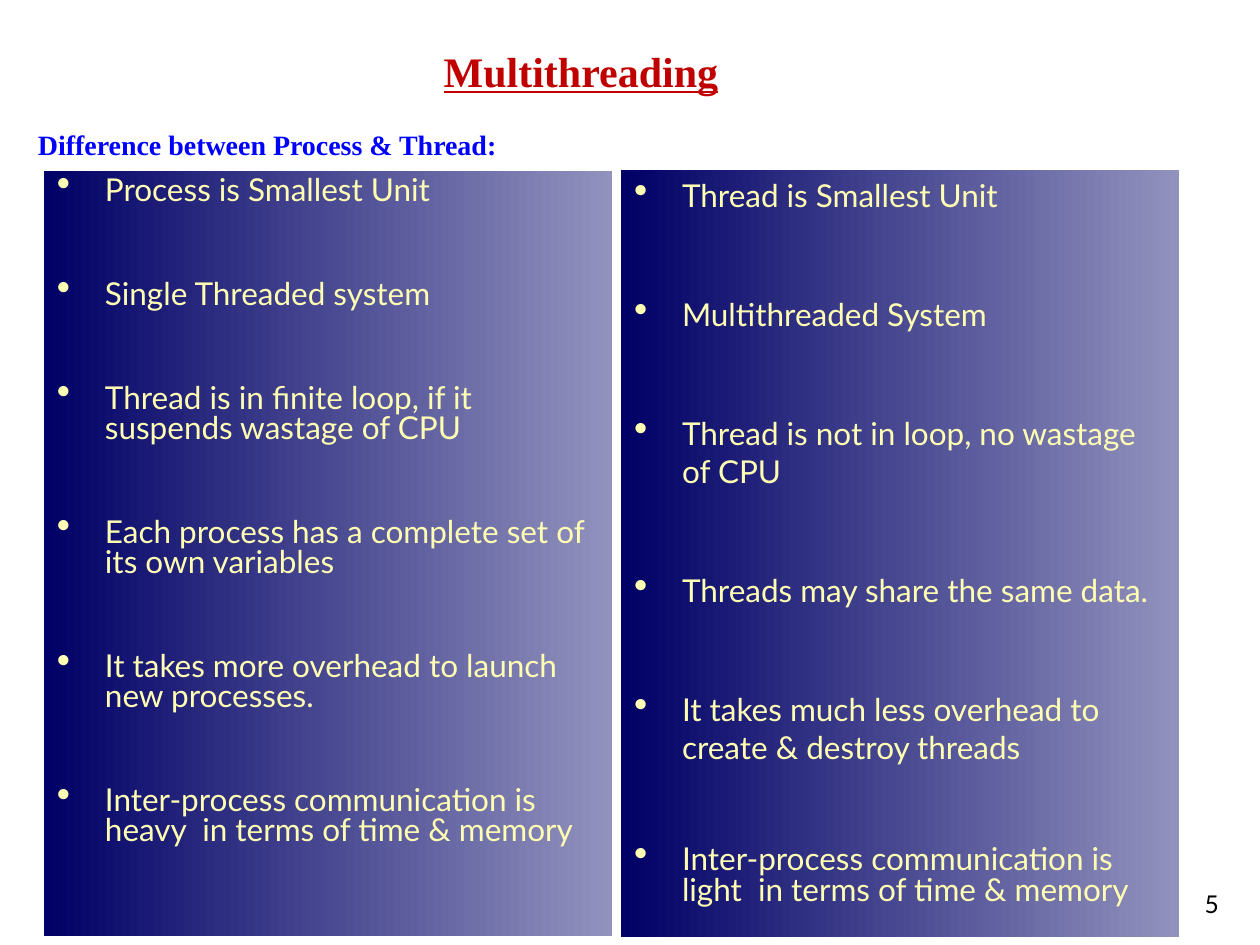
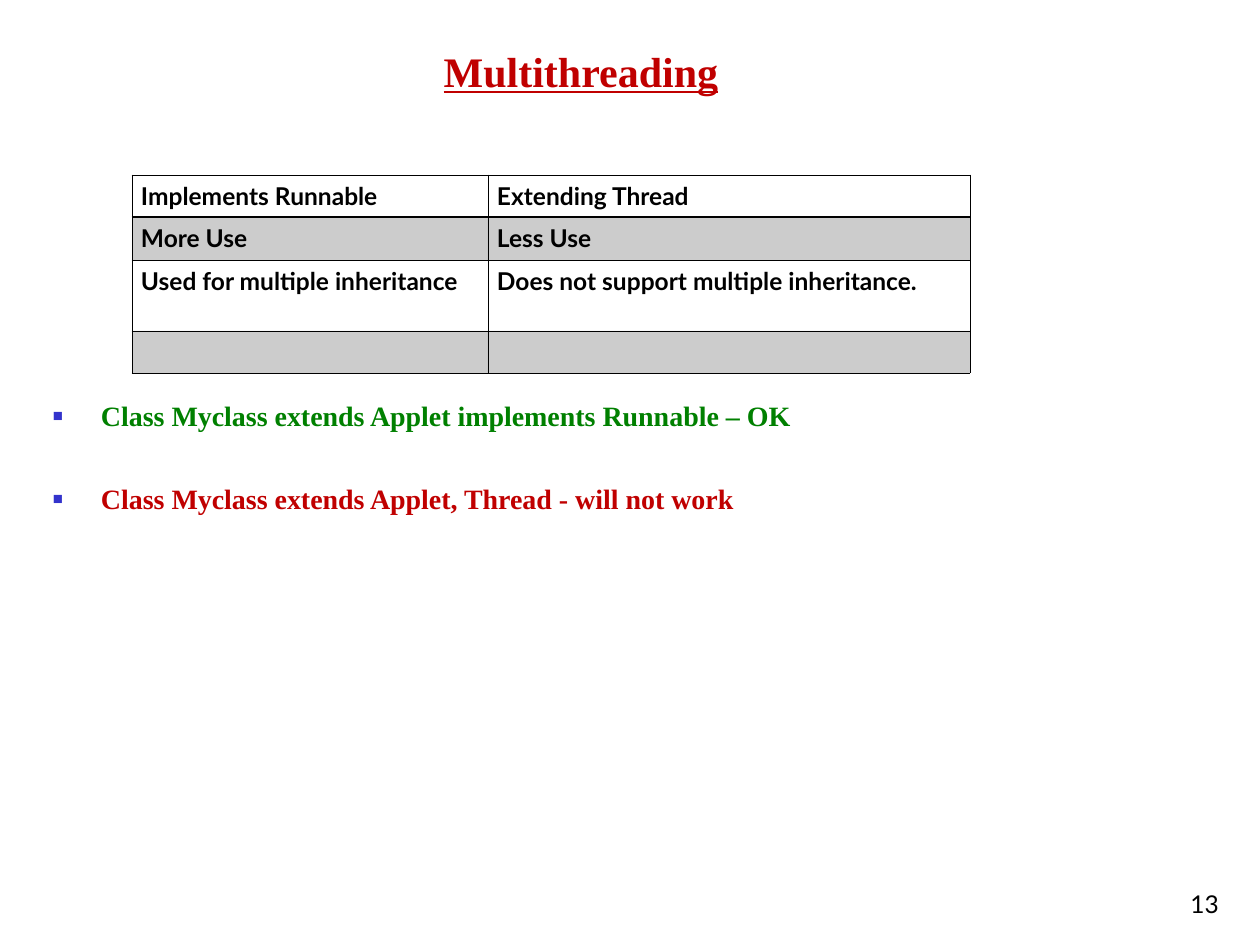
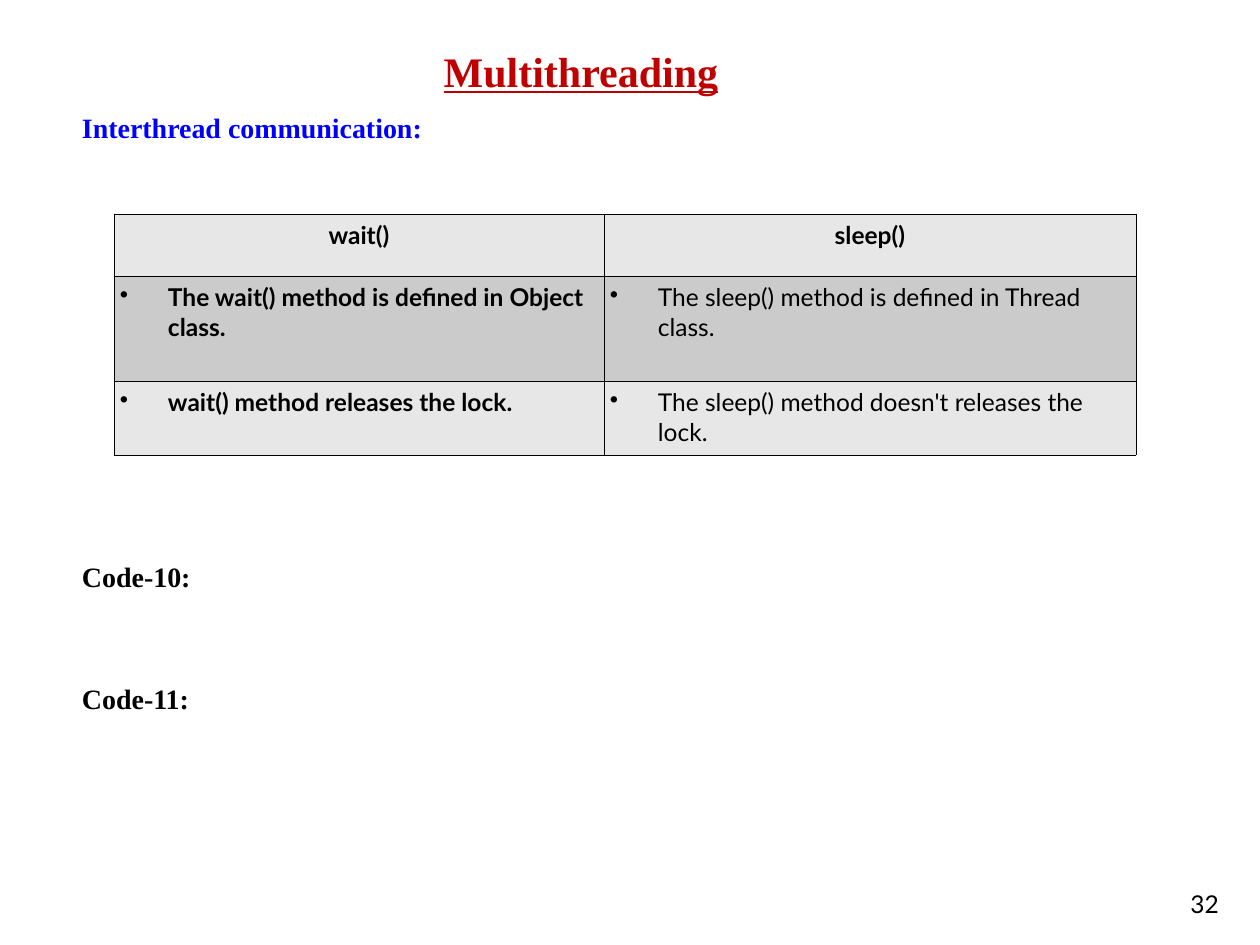
from dataclasses import dataclass, replace

from lxml import etree
from pptx import Presentation
from pptx.dml.color import RGBColor
from pptx.enum.shapes import MSO_SHAPE
from pptx.enum.text import MSO_ANCHOR, MSO_AUTO_SIZE, PP_ALIGN
from pptx.oxml.ns import qn
from pptx.util import Emu, Pt

RECT = MSO_SHAPE.RECTANGLE
TOP, BOTTOM = MSO_ANCHOR.TOP, MSO_ANCHOR.BOTTOM
LEFT, CENTER, RIGHT = PP_ALIGN.LEFT, PP_ALIGN.CENTER, PP_ALIGN.RIGHT
FIXED = MSO_AUTO_SIZE.NONE

# Shared look
SCALE = 914400 / 126
SERIF, SANS = "Times New Roman", "Lato"
COLORS = {
    "red": "C00000", "blue": "0000FF", "green": "008000", "black": "000000",
    "cream": "FFFFB3", "navy": "000066", "haze": "9292BE", "mark": "3333CC",
    "light": "E7E7E7", "mid": "CBCBCB",
}
HANG = 48
THIN, THICK = 0.45, 0.96


@dataclass(frozen=True)
class Box:
    x: int
    y: int
    w: int
    h: int


@dataclass(frozen=True)
class Bullet:
    char: str
    color: str
    percent: int = 100


@dataclass(frozen=True)
class Style:
    font: str
    size: int
    color: str
    bold: bool = False
    line: bool = False
    align: PP_ALIGN = LEFT
    bullet: Bullet | None = None


@dataclass(frozen=True)
class Para:
    text: str
    style: Style
    gap: float = 0
    pitch: float | Pt = 1.0


@dataclass(frozen=True)
class Grid:
    x: int
    y: int
    cols: list[int]
    rows: list[int]
    pad: int


TITLE = Style(SERIF, 24, "red", bold=True, line=True, align=CENTER)
HEAD = Style(SERIF, 16, "blue", bold=True)
CODE = replace(HEAD, color="black")
ITEM = replace(HEAD, bullet=Bullet("■", "mark", 60))
PAGE = Style(SANS, 14, "black", align=RIGHT)
PANEL = Style(SANS, 18, "cream", bullet=Bullet("•", "cream", 125))
CELL = Style(SANS, 14, "black", bold=True)
TITLE_BOX = Box(44, 26, 1074, 76)
PAGE_BOX = Box(970, 861, 262, 63)


# Helpers
def px(n: int) -> Emu:
    return Emu(round(n * SCALE))


def rgb(name: str) -> RGBColor:
    return RGBColor.from_string(COLORS[name])


def place(shape, box: Box) -> None:
    shape.left, shape.top = px(box.x), px(box.y)
    shape.width, shape.height = px(box.w), px(box.h)


def add_bullet(para, bullet: Bullet | None) -> None:
    props = para._p.get_or_add_pPr()
    hang = px(HANG) if bullet else 0
    props.set("marL", str(hang))
    props.set("indent", str(-hang))
    if not bullet:
        etree.SubElement(props, qn("a:buNone"))
        return
    tint = etree.SubElement(props, qn("a:buClr"))
    etree.SubElement(tint, qn("a:srgbClr"), val=COLORS[bullet.color])
    etree.SubElement(props, qn("a:buSzPct"), val=str(bullet.percent * 1000))
    etree.SubElement(props, qn("a:buChar"), char=bullet.char)


def write(frame, paras: list[Para]) -> None:
    for i, item in enumerate(paras):
        para = frame.add_paragraph() if i else frame.paragraphs[0]
        style = item.style
        para.text = item.text
        add_bullet(para, style.bullet)
        para.alignment = style.align
        para.line_spacing = item.pitch
        para.space_before = Pt(item.gap)
        for run in para.runs:
            font = run.font
            font.name, font.size = style.font, Pt(style.size)
            font.bold, font.underline = style.bold, style.line
            font.color.rgb = rgb(style.color)


def fill_box(shape, box: Box, paras: list[Para], anchor=TOP, head: int = 6) -> None:
    place(shape, box)
    frame = shape.text_frame
    frame.word_wrap = True
    frame.auto_size = FIXED
    frame.vertical_anchor = anchor
    frame.margin_left = frame.margin_right = px(13)
    frame.margin_top, frame.margin_bottom = px(head), px(6)
    write(frame, paras)


def add_slide(deck, page: str, box: Box, paras: list[Para], head: int = 8):
    slide = deck.slides.add_slide(deck.slide_layouts[1])
    fill_box(slide.shapes.title, TITLE_BOX, [Para("Multithreading", TITLE)], BOTTOM)
    fill_box(slide.placeholders[1], box, paras, head=head)
    note = slide.shapes.add_textbox(0, 0, 0, 0)
    fill_box(note, PAGE_BOX, [Para(page, PAGE)], BOTTOM)
    return slide


def add_panel(slide, box: Box, paras: list[Para]) -> None:
    panel = slide.shapes.add_shape(RECT, 0, 0, 0, 0)
    panel.shadow.inherit = False
    panel.line.fill.background()
    panel.fill.gradient()
    panel.fill.gradient_angle = 0
    for stop, name in zip(panel.fill.gradient_stops, ("navy", "haze")):
        stop.color.rgb = rgb(name)
    fill_box(panel, box, paras)


def add_edge(cell, side: str, width: float) -> None:
    props = cell._tc.get_or_add_tcPr()
    edge = etree.Element(qn(f"a:ln{side}"), w=str(Pt(width)))
    solid = etree.SubElement(edge, qn("a:solidFill"))
    etree.SubElement(solid, qn("a:srgbClr"), val=COLORS["black"])
    props.insert("LRTB".index(side), edge)


def paint(cell, name: str | None, alpha: int = 100) -> None:
    if not name:
        cell.fill.background()
        return
    cell.fill.solid()
    cell.fill.fore_color.rgb = rgb(name)
    if alpha < 100:
        tint = cell._tc.tcPr.find(".//" + qn("a:srgbClr"))
        etree.SubElement(tint, qn("a:alpha"), val=str(alpha * 1000))


def add_grid(slide, grid: Grid, texts: list[list[Para]],
             fills: list[tuple], heavy: int = 0) -> None:
    """Draw a table; heavy is the row whose top edge is thick (0 for none)."""
    frame = slide.shapes.add_table(
        len(grid.rows), len(grid.cols), px(grid.x), px(grid.y),
        px(sum(grid.cols)), px(sum(grid.rows)))
    table = frame.table
    table.first_row = table.horz_banding = False
    for col, width in zip(table.columns, grid.cols):
        col.width = px(width)
    for r, (height, paras) in enumerate(zip(grid.rows, texts)):
        table.rows[r].height = px(height)
        for c, para in enumerate(paras):
            cell = table.cell(r, c)
            cell.margin_left = cell.margin_right = px(grid.pad)
            cell.margin_top = cell.margin_bottom = px(6)
            write(cell.text_frame, [para])
            if not para.text:
                etree.SubElement(cell.text_frame.paragraphs[0]._p,
                                 qn("a:endParaRPr"), sz=str(CELL.size * 100))
            paint(cell, *fills[r])
            for side in "LRTB":
                mark = {"T": r, "B": r + 1}.get(side)
                add_edge(cell, side, THICK if heavy and mark == heavy else THIN)


# Slides
def show_difference(deck) -> None:
    slide = add_slide(deck, "5", Box(25, 120, 1150, 799),
                      [Para("Difference between Process & Thread:", HEAD)])
    process = [
        "Process is Smallest Unit",
        "Single Threaded system",
        "Thread is in finite loop, if it suspends wastage of CPU",
        "Each process has a complete set of its own variables",
        "It takes more overhead to launch new processes.",
        "Inter-process communication is heavy  in terms of time & memory",
    ]
    thread = [
        "Thread is Smallest Unit",
        "Multithreaded System",
        "Thread is not in loop, no wastage of CPU",
        "Threads may share the same data.",
        "It takes much less overhead to create & destroy threads",
        "Inter-process communication is light  in terms of time & memory",
    ]
    add_panel(slide, Box(44, 171, 568, 765),
              [Para(t, PANEL, 42.1 if i else 0, 0.8) for i, t in enumerate(process)])
    wide = [Para(t, PANEL, 46.4 if i else 0) for i, t in enumerate(thread)]
    wide[-1] = replace(wide[-1], pitch=0.8)
    add_panel(slide, Box(621, 170, 558, 767), wide)


def show_runnable(deck) -> None:
    bad = replace(ITEM, color="red")
    good = replace(ITEM, color="green")
    slide = add_slide(deck, "13", Box(40, 146, 1150, 713), [
        Para("Class Myclass extends Applet implements Runnable – OK", good),
        Para("Class Myclass extends Applet, Thread - will not work", bad, 28),
    ], head=253)
    rows = [
        ("Implements Runnable", "Extending Thread"),
        ("More Use", "Less Use"),
        ("Used for multiple inheritance", "Does not support multiple inheritance."),
        ("", ""),
    ]
    add_grid(slide, Grid(132, 175, [356, 482], [42, 43, 71, 42], 9),
             [[Para(t, CELL) for t in row] for row in rows],
             [(None,), ("black", 20)] * 2, heavy=1)


def show_waiting(deck) -> None:
    slide = add_slide(deck, "32", Box(69, 103, 1163, 757), [
        Para("Interthread communication:", HEAD),
        Para("Code-10:", CODE, 237),
        Para("Code-11:", CODE, 50.7),
    ])
    pitch = Pt(17.2)
    top = replace(CELL, align=CENTER)
    strong = replace(CELL, bullet=Bullet("•", "black"))
    plain = replace(strong, bold=False)
    rows = [
        ("The wait() method is defined in Object class.",
         "The sleep() method is defined in Thread class."),
        ("wait() method releases the lock.",
         "The sleep() method doesn't releases the lock."),
    ]
    texts = [[Para(t, top, pitch=pitch) for t in ("wait()", "sleep()")]]
    texts += [[Para(t, s, pitch=pitch) for t, s in zip(row, (strong, plain))]
              for row in rows]
    add_grid(slide, Grid(114, 214, [490, 532], [62, 105, 74], 6), texts,
             [("light",), ("mid",), ("light",)])


def main() -> None:
    deck = Presentation()
    deck.slide_width, deck.slide_height = px(1260), px(945)
    show_difference(deck)
    show_runnable(deck)
    show_waiting(deck)
    deck.save("out.pptx")


if __name__ == "__main__":
    main()
